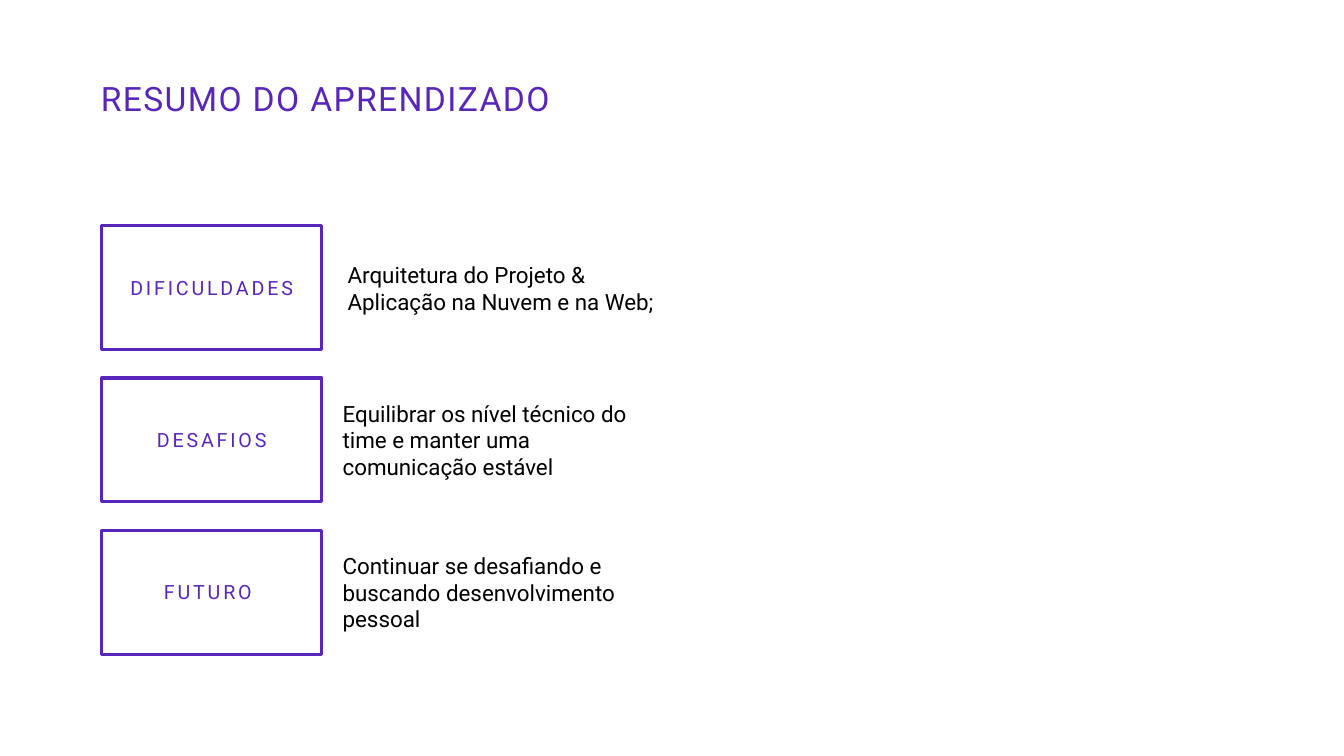
from pptx import Presentation
from pptx.dml.color import RGBColor
from pptx.enum.shapes import MSO_SHAPE as Shape
from pptx.enum.text import MSO_ANCHOR as Anchor, MSO_AUTO_SIZE as AutoSize, PP_ALIGN as Align
from pptx.util import Inches, Pt

PURPLE, BLACK = "5926BB", "000000"


def color(hex_string):
    return RGBColor.from_string(hex_string)


def write(shape, text, size, hex_string, align=Align.LEFT, spacing=0, inset=0.1):
    frame = shape.text_frame
    frame.word_wrap = True
    frame.auto_size = AutoSize.NONE
    frame.vertical_anchor = Anchor.MIDDLE
    frame.margin_left = frame.margin_right = Inches(inset)
    frame.margin_top = frame.margin_bottom = Inches(0.05)
    paragraph = frame.paragraphs[0]
    paragraph.alignment = align
    run = paragraph.add_run()
    run.text = text
    run.font.name = "Roboto"
    run.font.size = Pt(size)
    run.font.color.rgb = color(hex_string)
    if spacing:
        run._r.get_or_add_rPr().set("spc", str(spacing * 100))
    return paragraph


presentation = Presentation()
presentation.slide_width = Inches(13.33)
presentation.slide_height = Inches(7.5)
slide = presentation.slides.add_slide(presentation.slide_layouts[5])

# Title
title = slide.shapes.title
title.left, title.top = Inches(0.9), Inches(0.69)
title.width, title.height = Inches(5.76), Inches(0.62)
write(title, "RESUMO DO APRENDIZADO", 24, PURPLE, spacing=1).line_spacing = 0.9

# Rows: framed label on the left, summary on the right
FIRST_TOP, ROW_STEP, ROW_HEIGHT = 2.24, 1.51, 1.23
LABEL_LEFT, LABEL_WIDTH, SUMMARY_WIDTH = 1.01, 2.18, 3.37
topics = [
    ("DIFICULDADES", 3.35, "Arquitetura do Projeto & Aplicação na Nuvem e na Web;"),
    ("DESAFIOS", 3.3, "Equilibrar os nível técnico do time e manter uma comunicação estável"),
    ("FUTURO ", 3.3, "Continuar se desafiando e buscando desenvolvimento pessoal"),
]
for row, (label, summary_left, summary) in enumerate(topics):
    top = Inches(FIRST_TOP + row * ROW_STEP)
    height = Inches(ROW_HEIGHT)

    frame_box = slide.shapes.add_shape(
        Shape.RECTANGLE, Inches(LABEL_LEFT), top, Inches(LABEL_WIDTH), height)
    frame_box.shadow.inherit = False
    frame_box.fill.background()
    frame_box.line.color.rgb = color(PURPLE)
    frame_box.line.width = Pt(2.25)
    paragraph = write(frame_box, label, 14, PURPLE, Align.CENTER, spacing=2, inset=0.2)
    paragraph.space_before = Pt(10)

    summary_box = slide.shapes.add_textbox(
        Inches(summary_left), top, Inches(SUMMARY_WIDTH), height)
    write(summary_box, summary, 16, BLACK)

presentation.save("out.pptx")
